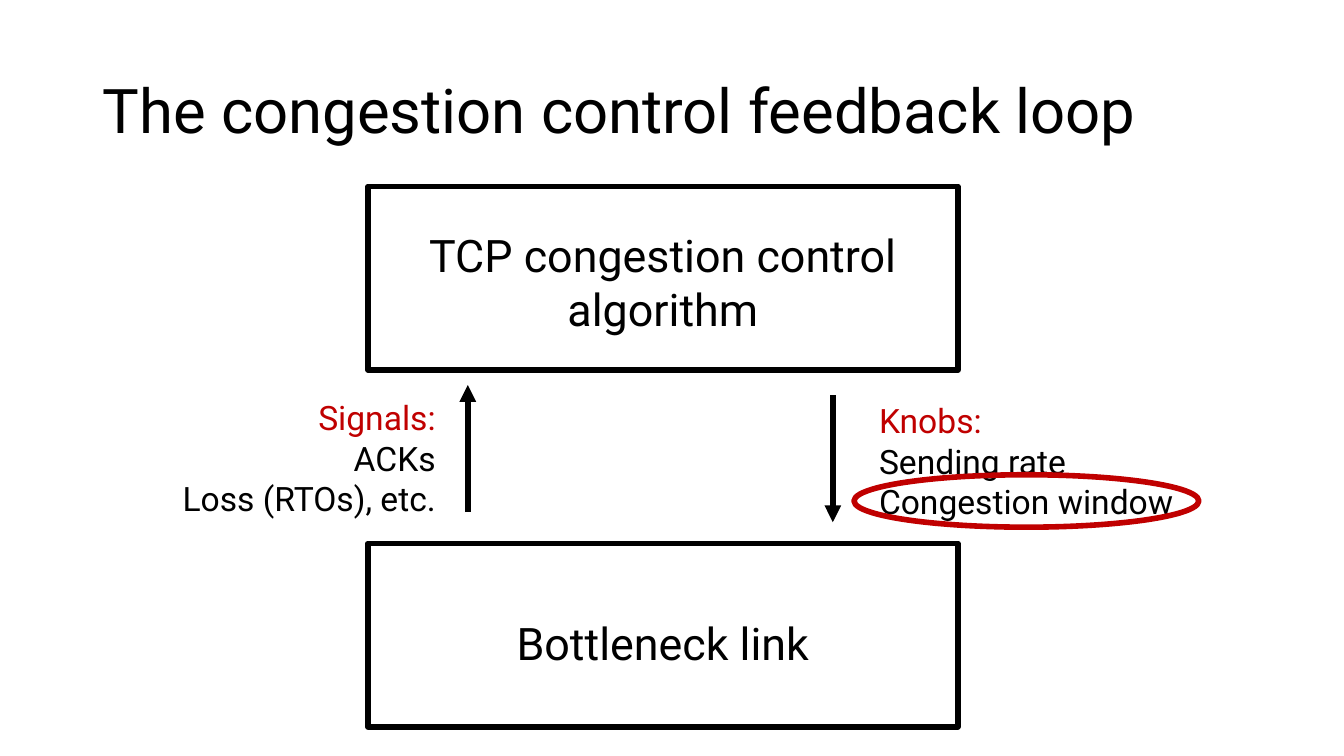
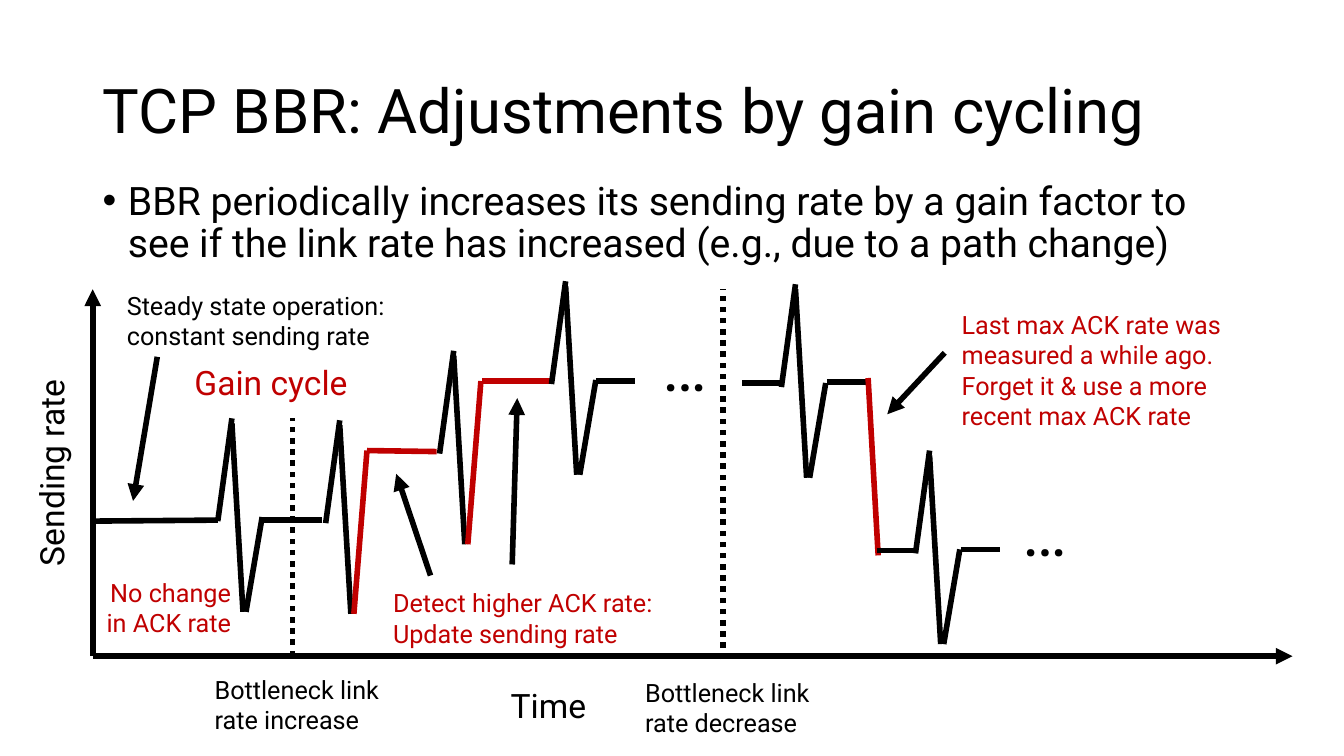
from lxml import etree
from pptx import Presentation
from pptx.dml.color import RGBColor
from pptx.enum.dml import MSO_LINE
from pptx.enum.shapes import MSO_CONNECTOR, MSO_SHAPE
from pptx.enum.text import MSO_ANCHOR, PP_ALIGN
from pptx.oxml.ns import qn
from pptx.util import Pt

PX = 9144  # EMU per px, 100 px to the inch
FONT, BLACK, RED = "Roboto", "000000", "C00000"
LEFT, CENTER, RIGHT = PP_ALIGN.LEFT, PP_ALIGN.CENTER, PP_ALIGN.RIGHT
TOP, MIDDLE = MSO_ANCHOR.TOP, MSO_ANCHOR.MIDDLE
RECT, OVAL = MSO_SHAPE.RECTANGLE, MSO_SHAPE.OVAL
STRAIGHT, DOTTED = MSO_CONNECTOR.STRAIGHT, MSO_LINE.ROUND_DOT
STROKE = 4
TITLE_BOX = (92, 40, 1150, 145)

# Slide 1: feedback loop
LOOP_TITLE = "The congestion control feedback loop"
LOOP_BOX_X, LOOP_BOX_W, LOOP_BOX_H = 365, 585, 182
LOOP_BOXES = [  # text, top, downward shift of the text
    ("TCP congestion control algorithm", 185, 3),
    ("Bottleneck link", 539, 7),
]
LOOP_ARROWS = [(464, 508, 464, 382), (826, 392, 826, 518)]
LOOP_LISTS = [  # box, alignment, heading, items
    ((57, 389, 385, 131), RIGHT, "Signals:", ["ACKs", "Loss (RTOs), etc."]),
    ((862, 392, 380, 131), LEFT, "Knobs:", ["Sending rate", "Congestion window"]),
]
WINDOW_RING = (847, 471, 342, 52)

# Slide 2: gain cycling
GAIN_TITLE = "TCP BBR: Adjustments by gain cycling"
GAIN_BULLET = ("BBR periodically increases its sending rate by a gain factor to "
               "see if the link rate has increased (e.g., due to a path change)")
BULLET_BOX = (92, 175, 1150, 476)
AXES = [(92, 651, 92, 287), (92, 651, 1282, 651)]
RATE_CHANGES = [(290, 651, 290, 415), (717, 654, 717, 287)]
# Strokes of one pulse, relative to its start
RISE, FALL = (0, 0, 14, -102), (14, -97, 25, 90)
RETURN, STEP_UP = (28, 90, 44, -4), (28, 90, 41, -72)
PULSES = [  # start x, start y, whether the rate steps up
    (216, 517, False), (323, 519, True), (436, 450, True),
    (547, 381, False), (775, 384, False), (908, 549, False),
]
LEVELS = [  # line between pulses, colour
    ((92, 517, 216, 516), BLACK), ((261, 516, 319, 516), BLACK),
    ((364, 447, 433, 448), RED), ((478, 378, 547, 378), RED),
    ((591, 378, 630, 378), BLACK), ((736, 380, 775, 380), BLACK),
    ((820, 379, 859, 379), BLACK), ((861, 375, 871, 551), RED),
    ((870, 546, 908, 546), BLACK), ((953, 545, 992, 545), BLACK),
]
POINTERS = [(156, 354, 132, 497), (427, 571, 393, 470),
            (508, 560, 513, 395), (937, 350, 880, 411)]
LABELS = [  # box, paragraphs, size, colour, alignment, rotation
    ((647, 317, 98, 91), ["…"], 48, BLACK, LEFT, 0),
    ((1004, 481, 98, 91), ["…"], 48, BLACK, LEFT, 0),
    ((441, 675, 206, 50), ["Time"], 24, BLACK, CENTER, 0),
    ((-60, 436, 221, 50), ["Sending rate"], 24, BLACK, LEFT, 270),
    ((116, 283, 297, 71), ["Steady state operation: constant sending rate"],
     18, BLACK, LEFT, 0),
    ((183, 354, 239, 50), ["Gain cycle"], 24, RED, LEFT, 0),
    ((380, 578, 283, 71), ["Detect higher ACK rate:", "Update sending rate"],
     18, RED, LEFT, 0),
    ((944, 302, 283, 131),
     ["Last max ACK rate was measured a while ago. "
      "Forget it & use a more recent max ACK rate"], 18, RED, LEFT, 0),
    ((82, 568, 157, 71), ["No change", "in ACK rate"], 18, RED, RIGHT, 0),
    ((203, 664, 199, 71), ["Bottleneck link rate increase"], 18, BLACK, LEFT, 0),
    ((630, 667, 199, 71), ["Bottleneck link rate decrease"], 18, BLACK, LEFT, 0),
]


# Drawing helpers
def rgb(color):
    return RGBColor.from_string(color)


def emu(lengths):
    return [n * PX for n in lengths]


def write(sp, lines, size, align=LEFT, anchor=TOP, spacing=None):
    """Fill a shape with paragraphs given as (text, colour)."""
    tf = sp.text_frame
    tf.word_wrap = True
    tf.vertical_anchor = anchor
    for i, (text, color) in enumerate(lines):
        p = tf.add_paragraph() if i else tf.paragraphs[0]
        p.alignment = align
        if spacing:
            p.line_spacing = spacing
        r = p.add_run()
        r.text = text
        r.font.name = FONT
        r.font.size = Pt(size)
        r.font.color.rgb = rgb(color)
    return tf


def add_text(s, box, lines, size, **style):
    sp = s.shapes.add_textbox(*emu(box))
    write(sp, lines, size, **style)
    return sp


def add_outline(s, kind, box, color):
    sp = s.shapes.add_shape(kind, *emu(box))
    sp.shadow.inherit = False
    sp.fill.background()
    sp.line.color.rgb = rgb(color)
    sp.line.width = Pt(STROKE)
    return sp


def add_line(s, ends, color=BLACK, arrow=False, dash=None):
    cx = s.shapes.add_connector(STRAIGHT, *emu(ends))
    cx.line.color.rgb = rgb(color)
    cx.line.width = Pt(STROKE)
    if dash:
        cx.line.dash_style = dash
    sp_pr = cx._element.spPr
    if arrow:
        etree.SubElement(sp_pr.find(qn("a:ln")), qn("a:tailEnd"), type="triangle")
    etree.SubElement(sp_pr, qn("a:effectLst"))


def add_bullet(p, indent):
    p_pr = p._p.get_or_add_pPr()
    p_pr.set("marL", str(indent * PX))
    p_pr.set("indent", str(-indent * PX))
    etree.SubElement(p_pr, qn("a:buFont"), typeface="Arial")
    etree.SubElement(p_pr, qn("a:buChar"), char="•")


def new_slide(prs, title):
    s = prs.slides.add_slide(prs.slide_layouts[6])
    add_text(s, TITLE_BOX, [(title, BLACK)], 44, anchor=MIDDLE, spacing=0.9)
    return s


# Slides
def build_loop(prs):
    s = new_slide(prs, LOOP_TITLE)
    for text, top, shift in LOOP_BOXES:
        sp = add_outline(s, RECT, (LOOP_BOX_X, top, LOOP_BOX_W, LOOP_BOX_H), BLACK)
        tf = write(sp, [(text, BLACK)], 32, align=CENTER, anchor=MIDDLE)
        tf.margin_top += 2 * shift * PX
    for ends in LOOP_ARROWS:
        add_line(s, ends, arrow=True)
    for box, align, heading, items in LOOP_LISTS:
        lines = [(heading, RED)] + [(item, BLACK) for item in items]
        add_text(s, box, lines, 24, align=align)
    add_outline(s, OVAL, WINDOW_RING, RED)


def build_gain(prs):
    s = new_slide(prs, GAIN_TITLE)
    body = add_text(s, BULLET_BOX, [(GAIN_BULLET, BLACK)], 28, spacing=0.9)
    p = body.text_frame.paragraphs[0]
    p.space_before = Pt(10)
    add_bullet(p, 25)
    for ends in AXES + POINTERS:
        add_line(s, ends, arrow=True)
    for ends in RATE_CHANGES:
        add_line(s, ends, dash=DOTTED)
    for ends, color in LEVELS:
        add_line(s, ends, color)
    for x, y, steps_up in PULSES:
        last = (STEP_UP, RED) if steps_up else (RETURN, BLACK)
        for (x1, y1, x2, y2), color in [(RISE, BLACK), (FALL, BLACK), last]:
            add_line(s, (x + x1, y + y1, x + x2, y + y2), color)
    for box, texts, size, color, align, rotation in LABELS:
        sp = add_text(s, box, [(t, color) for t in texts], size, align=align)
        sp.rotation = rotation


def main():
    prs = Presentation()
    prs.slide_width, prs.slide_height = emu((1333, 750))
    build_loop(prs)
    build_gain(prs)
    prs.save("out.pptx")


if __name__ == "__main__":
    main()
